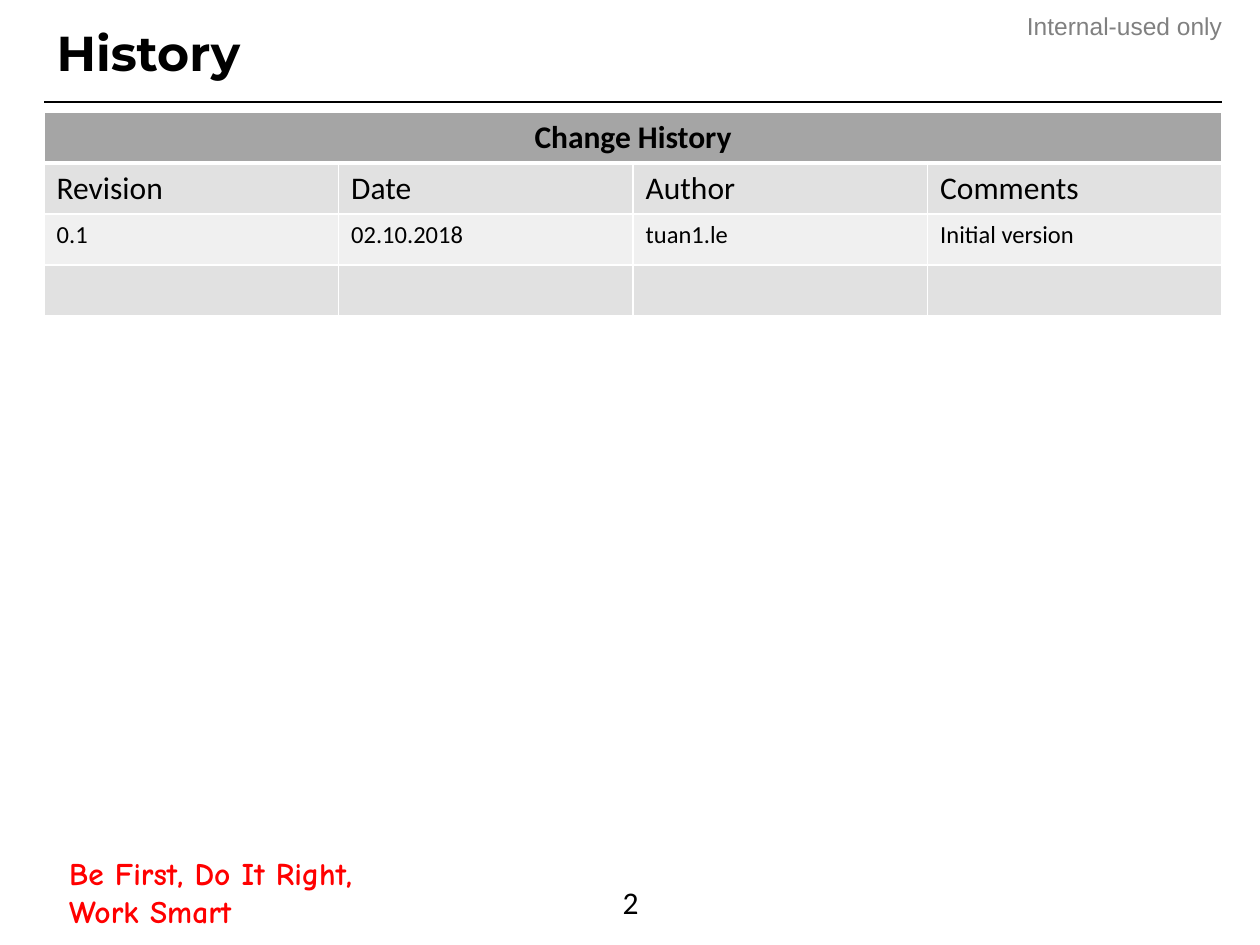
from lxml.etree import SubElement
from pptx import Presentation
from pptx.dml.color import RGBColor
from pptx.enum.shapes import MSO_CONNECTOR as Connector
from pptx.enum.text import MSO_ANCHOR as Anchor, PP_ALIGN as Align
from pptx.oxml.ns import qn
from pptx.util import Inches, Pt

COLORS = {
    "black": "000000", "white": "FFFFFF", "gray": "808080", "red": "FF0000",
    "header": "A5A5A5", "band_dark": "E1E1E1", "band_light": "F0F0F0",
}
LEFT, WIDTH = 0.35, 9.35
HISTORY = [
    ["Revision", "Date", "Author", "Comments"],
    ["0.1", "02.10.2018", "tuan1.le", "Initial version"],
    ["", "", "", ""],
]


def add_span(para, text, size, font="Calibri", color="black", bold=False):
    span = para.add_run()
    span.text = text
    span.font.size = Pt(size)
    span.font.name = font
    span.font.bold = bold
    span.font.color.rgb = RGBColor.from_string(COLORS[color])
    return span


def add_text(page, area, text, size, align=Align.LEFT, anchor=Anchor.TOP,
             margins=(0.1, 0.05), spacing=None, **style):
    box = page.shapes.add_textbox(*map(Inches, area))
    frame = box.text_frame
    frame.word_wrap = True
    frame.vertical_anchor = anchor
    frame.margin_left = frame.margin_right = Inches(margins[0])
    frame.margin_top = frame.margin_bottom = Inches(margins[1])
    para = frame.paragraphs[0]
    para.alignment = align
    para.line_spacing = spacing
    return add_span(para, text, size, **style)


def add_stroke(parent, tag, color, width):
    line = SubElement(parent, qn(tag), w=str(Pt(width)))
    fill = SubElement(line, qn("a:solidFill"))
    SubElement(fill, qn("a:srgbClr"), val=COLORS[color])
    return line


def outline_text(span, color, width):
    props = span.font._element
    props.insert(0, add_stroke(props, "a:ln", color, width))


def add_rule(page, y):
    rule = page.shapes.add_connector(
        Connector.STRAIGHT, Inches(LEFT), Inches(y), Inches(LEFT + WIDTH), Inches(y))
    rule.line.color.rgb = RGBColor.from_string(COLORS["black"])
    rule.line.width = Pt(1.5)
    SubElement(rule._element.spPr, qn("a:effectLst"))


def style_cell(cell, fill, top=1, bottom=1):
    # Borders come before the fill in the cell properties
    props = cell._tc.get_or_add_tcPr()
    for side, width in (("L", 1), ("R", 1), ("T", top), ("B", bottom)):
        add_stroke(props, "a:ln" + side, "white", width)
    cell.fill.solid()
    cell.fill.fore_color.rgb = RGBColor.from_string(COLORS[fill])


def add_history(page):
    columns = len(HISTORY[0])
    table = page.shapes.add_table(
        len(HISTORY) + 1, columns, Inches(LEFT), Inches(0.89),
        Inches(WIDTH), Inches(1.62)).table

    # Merged heading
    for column in range(columns):
        style_cell(table.cell(0, column), "header", bottom=3)
    heading = table.cell(0, 0)
    heading.merge(table.cell(0, columns - 1))
    heading.vertical_anchor = Anchor.MIDDLE
    para = heading.text_frame.paragraphs[0]
    para.alignment = Align.CENTER
    add_span(para, "Change History", 18, bold=True)

    # Banded body rows
    for row, values in enumerate(HISTORY, 1):
        for column, value in enumerate(values):
            cell = table.cell(row, column)
            style_cell(cell, "band_dark" if row % 2 else "band_light",
                       top=3 if row == 1 else 1)
            if value:
                add_span(cell.text_frame.paragraphs[0], value, 18 if row == 1 else 14)


def main():
    deck = Presentation()
    deck.slide_width, deck.slide_height = Inches(10), Inches(7.5)
    page = deck.slides.add_slide(deck.slide_layouts[6])

    # Header
    add_text(page, (7.97, 0.09, 1.73, 0.24), "Internal-used only", 14,
             align=Align.RIGHT, margins=(0, 0), font="Arial", color="gray")
    add_rule(page, 0.81)
    add_text(page, (LEFT, 0.08, WIDTH, 0.73), "History", 28, anchor=Anchor.MIDDLE,
             spacing=0.9, font="Montserrat", bold=True)

    # Change table
    add_history(page)

    # Footer
    motto = add_text(page, (0.45, 6.96, 2.68, 0.24), "Be First, Do It Right, Work Smart",
                     18, anchor=Anchor.MIDDLE, font="Comic Neue", color="red", bold=True)
    outline_text(motto, "red", 0.75)
    add_text(page, (3.88, 6.96, 2.25, 0.4), "2", 18, align=Align.CENTER)

    deck.save("out.pptx")


main()
